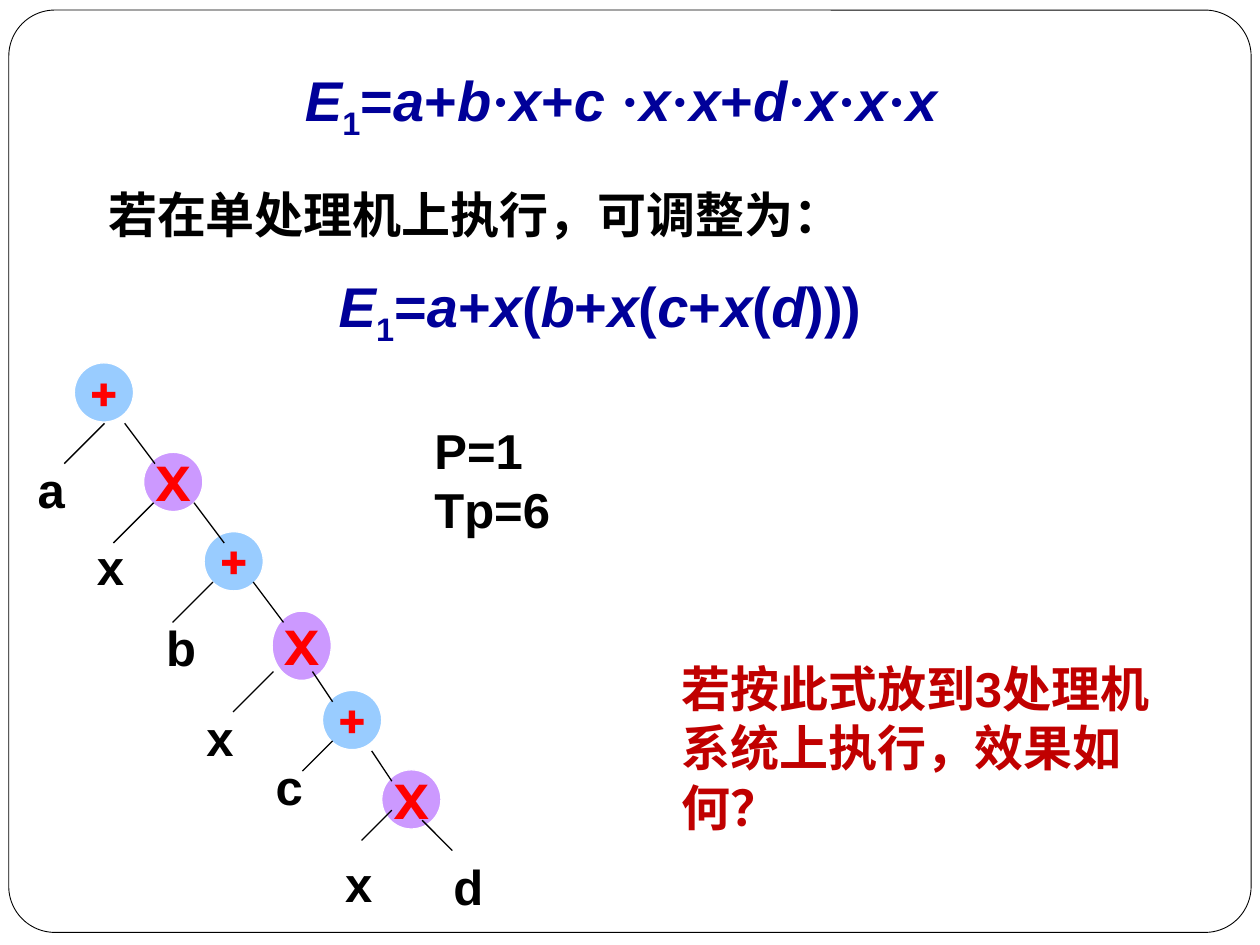
from itertools import groupby

from lxml import etree
from pptx import Presentation
from pptx import util as u
from pptx.dml.color import RGBColor
from pptx.enum import shapes, text
from pptx.oxml.ns import qn

BLACK = RGBColor(0, 0, 0)
WHITE = RGBColor(255, 255, 255)
NAVY = RGBColor(0, 0, 0x99)
RED = RGBColor(255, 0, 0)
DARK_RED = RGBColor(0xC0, 0, 0)
NODE_FILLS = {"+": RGBColor(0x99, 0xCC, 0xFF), "X": RGBColor(0xCC, 0x99, 0xFF)}

EXPANDED = ("E1=a+b·x+c ·x·x+d·x·x·x", (2.32, 0.52, 5.34, 0.71))
FACTORED = ("E1=a+x(b+x(c+x(d)))", (2.59, 2.16, 4.47, 0.71))
# lines, box, colour, wrap
NOTES = [
    (["若在单处理机上执行，可调整为："], (0.76, 1.41, 6.02, 0.57), BLACK, False),
    (["P=1", "Tp=6"], (3.35, 3.28, 5.2, 1.5), BLACK, True),
    (["若按此式放到3处理机系统上执行，效果如何？"],
     (5.31, 5.17, 4.07, 1.5), DARK_RED, True),
]
# symbol, left, top, height
NODES = [
    ("+", 0.59, 2.88, 0.47), ("X", 1.14, 3.59, 0.47), ("+", 1.62, 4.22, 0.47),
    ("X", 2.16, 4.85, 0.55), ("+", 2.56, 5.48, 0.47), ("X", 3.03, 6.11, 0.47),
]
# start x, start y, columns and rows of the tree grid to the end
BRANCHES = [
    (0.83, 3.36, -4, 4), (0.99, 3.36, 3, 4),
    (1.22, 3.99, -4, 4), (1.54, 3.99, 3, 4),
    (1.69, 4.62, -4, 4), (2.01, 4.62, 3, 4),
    (2.17, 5.33, -4, 4), (2.48, 5.33, 2, 3),
    (2.64, 5.88, -3, 3), (2.95, 5.96, 2, 3),
    (3.11, 6.43, -3, 3), (3.35, 6.51, 3, 3),
]
LEAVES = [
    ("a", 0.2, 3.59), ("x", 0.67, 4.2), ("b", 1.22, 4.85), ("x", 1.54, 5.56),
    ("c", 2.09, 5.95), ("x", 2.64, 6.72), ("d", 3.5, 6.74),
]
GRID = 0.08
NODE_WIDTH = 0.47
LEAF_SIZE = (0.63, 0.57)


def inches(values):
    return [u.Inches(value) for value in values]


def apply(target, values):
    for name, value in values.items():
        setattr(target, name, value)


def add_run(paragraph, wording, size, color, **extra):
    run = paragraph.add_run()
    run.text = wording
    apply(run.font, {"name": "Arial", "size": u.Pt(size), "bold": True, **extra})
    run.font.color.rgb = color
    return run


def add_text(slide, lines, box, color, wrap=True):
    frame = slide.shapes.add_textbox(*inches(box)).text_frame
    frame.word_wrap = wrap
    for index, line in enumerate(lines):
        paragraph = frame.add_paragraph() if index else frame.paragraphs[0]
        paragraph.line_spacing = u.Pt(34)
        add_run(paragraph, line, 28, color)


def kind_of(character):
    if character.isalpha() or character == " ":
        return "variable"
    if character.isdigit():
        return "index"
    return "dot" if character == "·" else "operator"


def write_formula(shape, formula):
    """Set variables in italics, digits as subscripts and dots in a serif font."""
    frame = shape.text_frame
    apply(frame, {"word_wrap": False, "vertical_anchor": text.MSO_ANCHOR.TOP,
                  "auto_size": text.MSO_AUTO_SIZE.NONE})
    paragraph = frame.paragraphs[0]
    apply(paragraph, {"alignment": text.PP_ALIGN.LEFT, "line_spacing": u.Pt(40)})
    for kind, characters in groupby(formula, kind_of):
        font = "Times New Roman" if kind == "dot" else "Arial"
        run = add_run(paragraph, "".join(characters), 32, NAVY,
                      name=font, italic=kind == "variable")
        if kind == "index":
            run.font._element.set("baseline", "-25000")


def add_shape(slide, preset, box, fill, line, width):
    shape = slide.shapes.add_shape(preset, *inches(box))
    shape.shadow.inherit = False
    shape.fill.solid()
    shape.fill.fore_color.rgb = fill
    shape.line.color.rgb = line
    shape.line.width = u.Pt(width)
    return shape


def add_node(slide, symbol, left, top, height):
    node = add_shape(slide, shapes.MSO_SHAPE.OVAL, (left, top, NODE_WIDTH, height),
                     NODE_FILLS[symbol], WHITE, 0.75)
    frame = node.text_frame
    apply(frame, {"word_wrap": False, "vertical_anchor": text.MSO_ANCHOR.MIDDLE})
    paragraph = frame.paragraphs[0]
    paragraph.alignment = text.PP_ALIGN.CENTER
    add_run(paragraph, symbol, 28, RED, name="Montserrat")


def add_branch(slide, x, y, columns, rows):
    ends = inches((x, y, x + columns * GRID, y + rows * GRID))
    branch = slide.shapes.add_connector(shapes.MSO_CONNECTOR.STRAIGHT, *ends)
    branch.line.color.rgb = BLACK
    branch.line.width = u.Pt(0.75)
    etree.SubElement(branch._element.spPr, qn("a:effectLst"))


def main():
    presentation = Presentation()
    apply(presentation, {"slide_width": u.Inches(10), "slide_height": u.Inches(7.5)})
    slide = presentation.slides.add_slide(presentation.slide_layouts[5])
    title = slide.shapes.title

    border = add_shape(slide, shapes.MSO_SHAPE.ROUNDED_RECTANGLE,
                       (0.07, 0.08, 9.86, 7.32), WHITE, BLACK, 0.5)
    border.adjustments[0] = 0.05
    title._element.addprevious(border._element)

    formula, box = EXPANDED
    apply(title, dict(zip(("left", "top", "width", "height"), inches(box))))
    write_formula(title, formula)
    formula, box = FACTORED
    write_formula(slide.shapes.add_textbox(*inches(box)), formula)

    for node in NODES:
        add_node(slide, *node)
    for branch in BRANCHES:
        add_branch(slide, *branch)
    for label, left, top in LEAVES:
        add_text(slide, [label], (left, top, *LEAF_SIZE), BLACK)
    for note in NOTES:
        add_text(slide, *note)

    presentation.save("out.pptx")


if __name__ == "__main__":
    main()
